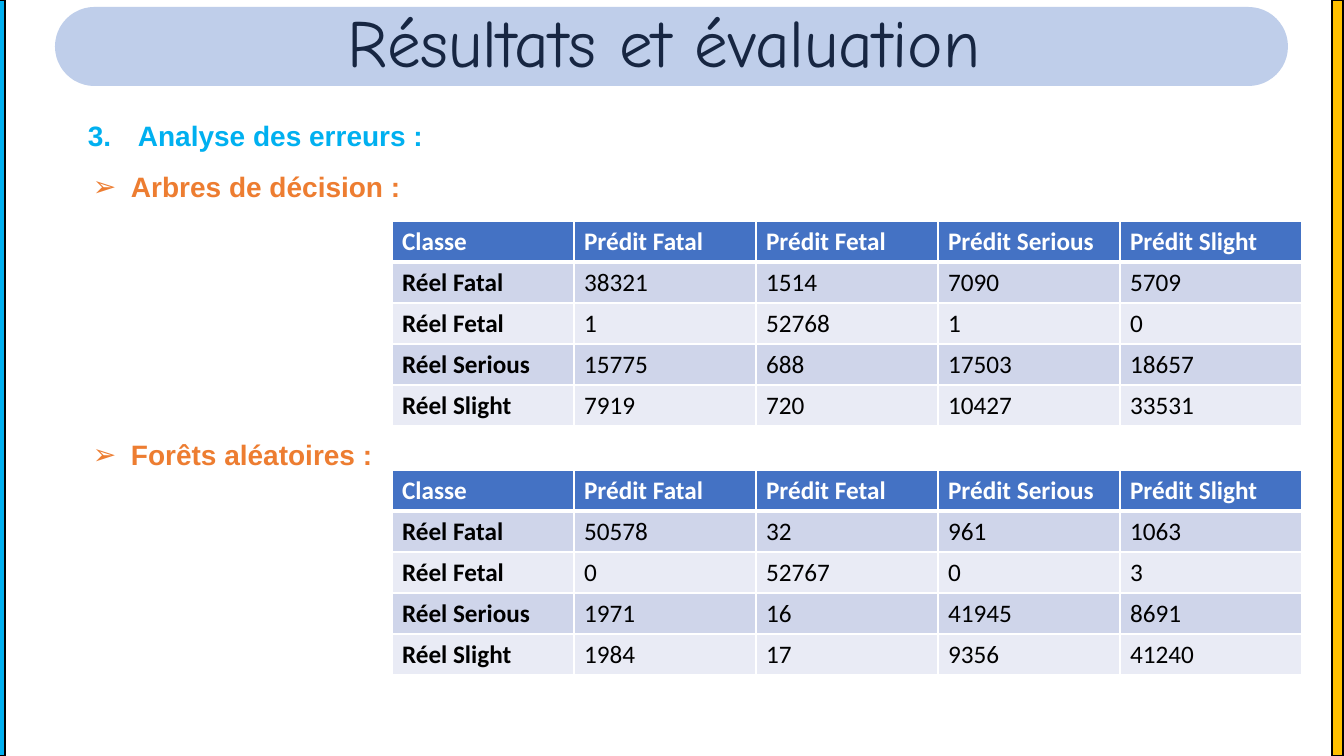
import pptx
import pptx.util
import pptx.dml.color
import pptx.enum.shapes
import pptx.enum.text
import pptx.oxml
import pptx.oxml.ns
import lxml.etree

PX = 12192000 / 1344
SHAPE = pptx.enum.shapes.MSO_SHAPE
ANCHOR = pptx.enum.text.MSO_ANCHOR
NS = pptx.oxml.ns.nsdecls("a")


def box(*lengths):
    return [round(n * PX) for n in lengths]


def rgb(value):
    return pptx.dml.color.RGBColor.from_string(value)


prs = pptx.Presentation()
prs.slide_width, prs.slide_height = box(1344, 756)
s = prs.slides.add_slide(prs.slide_layouts[6])

for left, color in [(-6, "00B0F0"), (1332, "FFC000")]:
    bar = s.shapes.add_shape(SHAPE.RECTANGLE, *box(left, 0, 11, 756))
    bar.shadow.inherit = False
    bar.fill.solid()
    bar.fill.fore_color.rgb = rgb(color)
    bar.line.color.rgb = rgb("000000")
    bar.line.width = pptx.util.Pt(1)

texts = [
    ("Résultats et évaluation", (338, -5, 728, 92), "Comic Neue", 48, "000000", None, 0),
    ("Analyse des erreurs :", (78, 108, 666, 46), "Arial", 20, "00B0F0",
     '<a:buAutoNum %s type="arabicPeriod" startAt="3"/>', 50),
    ("Arbres de décision :", (83, 165, 675, 44), "Arial", 20, "ED7D31",
     '<a:buChar %s char="➢"/>', 38),
    ("Forêts aléatoires :", (83, 433, 675, 44), "Arial", 20, "ED7D31",
     '<a:buChar %s char="➢"/>', 38),
]
for text, place, font, size, color, bullet, indent in texts:
    sp = s.shapes.add_textbox(*box(*place))
    tf = sp.text_frame
    tf.word_wrap = True
    tf.auto_size = pptx.enum.text.MSO_AUTO_SIZE.SHAPE_TO_FIT_TEXT
    tf.text = text
    p = tf.paragraphs[0]
    f = p.runs[0].font
    f.name = font
    f.size = pptx.util.Pt(size)
    f.bold = bullet is not None
    f.color.rgb = rgb(color)
    if indent == 50:
        p.line_spacing = 1.15
        p.space_after = pptx.util.Pt(10)
    if bullet:
        pPr = p._p.get_or_add_pPr()
        margin = box(indent)[0]
        pPr.set("marL", str(margin))
        pPr.set("indent", str(-margin))
        pPr.append(pptx.oxml.parse_xml(f'<a:buFont {NS} typeface="Arial"/>'))
        pPr.append(pptx.oxml.parse_xml(bullet % NS))

banner = s.shapes.add_shape(SHAPE.ROUNDED_RECTANGLE, *box(55, 7, 1233, 79))
banner.adjustments[0] = 0.5
banner.shadow.inherit = False
banner.fill.solid()
banner.fill.fore_color.rgb = rgb("4472C4")
banner.line.fill.background()
clr = banner._element.spPr.find(".//" + pptx.oxml.ns.qn("a:srgbClr"))
lxml.etree.SubElement(clr, pptx.oxml.ns.qn("a:alpha"), val="34000")

header = ["Classe", "Prédit Fatal", "Prédit Fetal", "Prédit Serious", "Prédit Slight"]
labels = ["Réel Fatal", "Réel Fetal", "Réel Serious", "Réel Slight"]
decision_tree = [
    (38321, 1514, 7090, 5709),
    (1, 52768, 1, 0),
    (15775, 688, 17503, 18657),
    (7919, 720, 10427, 33531),
]
random_forest = [
    (50578, 32, 961, 1063),
    (0, 52767, 0, 3),
    (1971, 16, 41945, 8691),
    (1984, 17, 9356, 41240),
]
for top, matrix in [(221, decision_tree), (470, random_forest)]:
    rows = [header] + [[label, *values] for label, values in zip(labels, matrix)]
    table = s.shapes.add_table(5, 5, *box(392, top, 910, 205)).table
    for r, row in enumerate(rows):
        for c, value in enumerate(row):
            cell = table.cell(r, c)
            cell.text = str(value)
            if c == 0 or r == 0 and c in (2, 3):
                cell.vertical_anchor = ANCHOR.MIDDLE
            f = cell.text_frame.paragraphs[0].runs[0].font
            f.name = "Calibri"
            f.size = pptx.util.Pt(18)
            f.bold = r == 0 or c == 0
            f.color.rgb = rgb("000000" if r else "FFFFFF")
            cell.fill.solid()
            cell.fill.fore_color.rgb = rgb(("E9EBF5", "CFD5EA")[r % 2] if r else "4472C4")
            tcPr = cell._tc.get_or_add_tcPr()
            for i, side in enumerate("LRTB"):
                thick = (r, side) in [(0, "B"), (1, "T")]
                tcPr.insert(i, pptx.oxml.parse_xml(
                    f'<a:ln{side} {NS} w="{38100 if thick else 12700}"><a:solidFill>'
                    f'<a:srgbClr val="FFFFFF"/></a:solidFill></a:ln{side}>'))

prs.save("out.pptx")
